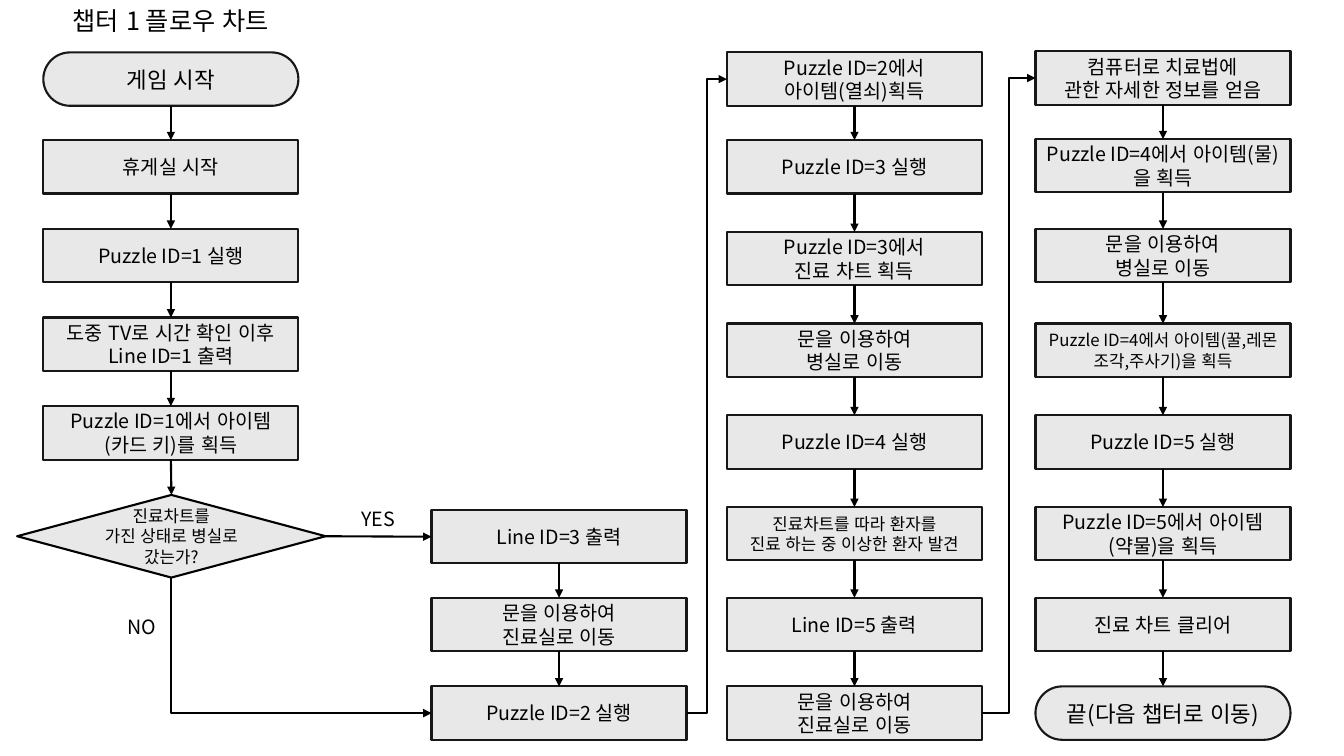
from lxml import etree
from pptx import Presentation
from pptx import util as u
from pptx.dml.color import RGBColor
from pptx.enum import lang, shapes, text
from pptx.oxml.ns import qn

TOP, LEFT, BOTTOM, RIGHT = range(4)
BOX_WIDTH, BOX_HEIGHT = 2.53, 0.53


def color(hex_string):
    return RGBColor.from_string(hex_string)


class FlowChart:
    font = "Noto Sans CJK KR"
    ink, border, face = "000000", "171717", "E8E8E8"
    line_width = 1.5

    def __init__(self, slide):
        self.slide = slide

    def set_text(self, shape, content, size):
        frame = shape.text_frame
        frame.text = content
        for paragraph in frame.paragraphs:
            paragraph.alignment = text.PP_ALIGN.CENTER
            for run in paragraph.runs:
                run.font.size = u.Pt(size)
                run.font.name = self.font
                run.font.color.rgb = color(self.ink)
                run.font.language_id = lang.MSO_LANGUAGE_ID.KOREAN
                east_asian = etree.SubElement(run.font._element, qn("a:ea"))
                east_asian.set("typeface", self.font)

    def label(self, left, top, width, height, content, size):
        box = self.slide.shapes.add_textbox(
            u.Inches(left), u.Inches(top), u.Inches(width), u.Inches(height))
        box.text_frame.word_wrap = False
        self.set_text(box, content, size)

    def node(self, left, top, content, size=14, kind="RECTANGLE",
             width=BOX_WIDTH, height=BOX_HEIGHT, border=border):
        shape = self.slide.shapes.add_shape(
            shapes.MSO_SHAPE[kind], u.Inches(left), u.Inches(top),
            u.Inches(width), u.Inches(height))
        shape.shadow.inherit = False
        shape.fill.solid()
        shape.fill.fore_color.rgb = color(self.face)
        shape.line.color.rgb = color(border)
        shape.line.width = u.Pt(self.line_width)
        shape.text_frame.word_wrap = True
        shape.text_frame.vertical_anchor = text.MSO_ANCHOR.MIDDLE
        self.set_text(shape, content, size)
        return shape

    def terminal(self, left, top, content):
        shape = self.node(left, top, content, 16, "ROUNDED_RECTANGLE")
        shape.adjustments[0] = 0.5
        return shape

    def arrow(self, start, end, start_side=BOTTOM, end_side=TOP, kind="STRAIGHT"):
        connector = self.slide.shapes.add_connector(
            shapes.MSO_CONNECTOR[kind], 0, 0, 0, 0)
        connector.begin_connect(start, start_side)
        connector.end_connect(end, end_side)
        connector.line.color.rgb = color(self.ink)
        connector.line.width = u.Pt(self.line_width)
        properties = connector._element.spPr
        etree.SubElement(properties.find(qn("a:ln")), qn("a:tailEnd"), type="triangle")
        etree.SubElement(properties, qn("a:effectLst"))
        return connector

    def corner_arrow(self, start, end):
        """Arrow that drops from the bottom of start, then runs right into end."""
        connector = self.arrow(start, end, BOTTOM, LEFT, "ELBOW")
        width, height = connector.width, connector.height
        shift = (width - height) // 2
        connector.left, connector.top = connector.left + shift, connector.top - shift
        connector.width, connector.height = height, width
        properties = connector._element.spPr
        properties.find(qn("a:prstGeom")).set("prst", "bentConnector2")
        frame = properties.find(qn("a:xfrm"))
        frame.set("rot", "16200000")
        frame.set("flipH", "1")

    def column(self, left, steps):
        return [self.node(left, *step) for step in steps]

    def chain(self, nodes):
        for start, end in zip(nodes, nodes[1:]):
            self.arrow(start, end)


def main():
    presentation = Presentation()
    presentation.slide_width = u.Inches(13.33)
    presentation.slide_height = u.Inches(7.5)
    chart = FlowChart(presentation.slides.add_slide(presentation.slide_layouts[6]))

    # Title and branch labels
    chart.label(0.31, 0, 2.77, 0.4, "챕터 1 플로우 차트", 18)
    chart.label(3.48, 4.98, 0.54, 0.34, "YES", 14)
    chart.label(1.13, 6.05, 0.56, 0.34, "NO", 14)

    # First column: from the start to the decision
    opening = [chart.terminal(0.43, 0.52, "게임 시작")]
    opening += chart.column(0.43, [
        (1.39, "휴게실 시작"),
        (2.27, "Puzzle ID=1 실행"),
        (3.15, "도중 TV로 시간 확인 이후 Line ID=1 출력"),
        (4.03, "Puzzle ID=1에서 아이템(카드 키)를 획득"),
    ])
    decision = chart.node(0.17, 4.91, "진료차트를\n가진 상태로 병실로 갔는가?", 12,
                          "FLOWCHART_DECISION", 3.06, 0.82, chart.ink)

    # Second column: the YES branch
    branch = chart.column(4.28, [
        (5.06, "Line ID=3 출력"),
        (5.93, "문을 이용하여\n진료실로 이동"),
        (6.81, "Puzzle ID=2 실행"),
    ])

    # Third column: the ward
    ward = chart.column(7.21, [
        (0.52, "Puzzle ID=2에서\n아이템(열쇠)획득"),
        (1.39, "Puzzle ID=3 실행"),
        (2.3, "Puzzle ID=3에서\n진료 차트 획득"),
        (3.21, "문을 이용하여\n병실로 이동"),
        (4.12, "Puzzle ID=4 실행"),
        (5.03, "진료차트를 따라 환자를\n진료 하는 중 이상한 환자 발견", 12),
        (5.93, "Line ID=5 출력"),
        (6.81, "문을 이용하여\n진료실로 이동"),
    ])

    # Fourth column: the cure and the end
    cure = chart.column(10.27, [
        (0.51, "컴퓨터로 치료법에\n관한 자세한 정보를 얻음"),
        (1.38, "Puzzle ID=4에서 아이템(물)을 획득"),
        (2.27, "문을 이용하여\n병실로 이동"),
        (3.21, "Puzzle ID=4에서 아이템(꿀,레몬 조각,주사기)을 획득", 12),
        (4.12, "Puzzle ID=5 실행"),
        (5.03, "Puzzle ID=5에서 아이템(약물)을 획득"),
        (5.93, "진료 차트 클리어"),
    ])
    cure.append(chart.terminal(10.27, 6.81, "끝(다음 챕터로 이동)"))

    # Arrows down each column
    for nodes in (opening + [decision], branch, ward, cure):
        chart.chain(nodes)

    # Arrows between columns
    chart.arrow(decision, branch[0], RIGHT, LEFT)
    chart.corner_arrow(decision, branch[-1])
    chart.arrow(branch[-1], ward[0], RIGHT, LEFT, "ELBOW")
    chart.arrow(ward[-1], cure[0], RIGHT, LEFT, "ELBOW")

    presentation.save("out.pptx")


if __name__ == "__main__":
    main()
